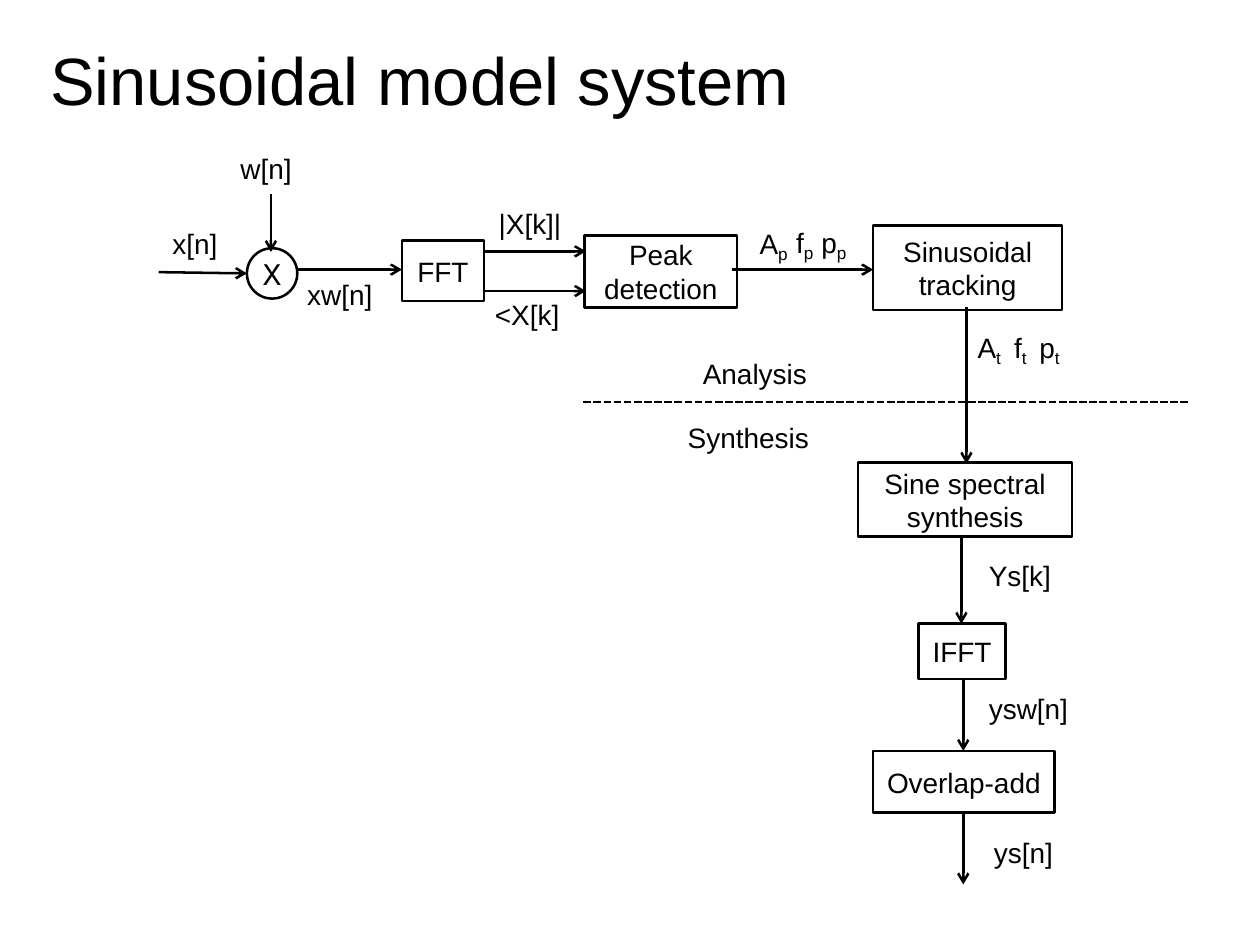
from collections import namedtuple

from lxml import etree
from pptx import Presentation
from pptx.dml.color import RGBColor
from pptx.enum.dml import MSO_LINE
from pptx.enum.shapes import MSO_CONNECTOR, MSO_SHAPE
from pptx.enum.text import MSO_ANCHOR, MSO_AUTO_SIZE, PP_ALIGN
from pptx.oxml.ns import qn
from pptx.util import Inches, Pt

BLACK = RGBColor(0, 0, 0)
RECTANGLE, OVAL = MSO_SHAPE.RECTANGLE, MSO_SHAPE.OVAL
STRAIGHT, DASHED = MSO_CONNECTOR.STRAIGHT, MSO_LINE.SQUARE_DOT
MIDDLE, FIT_SHAPE = MSO_ANCHOR.MIDDLE, MSO_AUTO_SIZE.SHAPE_TO_FIT_TEXT
LEFT, CENTER = PP_ALIGN.LEFT, PP_ALIGN.CENTER

COLUMNS, ROWS = 100, 75
CELL = Inches(0.1)
LINE_WIDTH = Pt(1.45)
TITLE_SIZE, TEXT_SIZE, SIGN_SIZE, SUBSCRIPT_SIZE = 38.2, 16, 18, 16.8
LABEL_ROWS = 3.5

Region = namedtuple("Region", "left top width height")


def grid(region, column, row):
    return round((region.left + column) * CELL), round((region.top + row) * CELL)


def set_font(font, size, name="Arial"):
    font.name = name
    font.size = Pt(size)
    font.color.rgb = BLACK


def set_margins(frame, margin):
    frame.margin_left = frame.margin_right = margin
    frame.margin_top = frame.margin_bottom = margin


def add_block(slide, region, text, column, row, width, height, kind=RECTANGLE):
    block = slide.shapes.add_shape(
        kind, *grid(region, column, row), round(width * CELL), round(height * CELL))
    block.shadow.inherit = False
    block.fill.background()
    block.line.color.rgb = BLACK
    block.line.width = LINE_WIDTH
    frame = block.text_frame
    frame.vertical_anchor = MIDDLE
    frame.word_wrap = True
    frame.text = text
    for para in frame.paragraphs:
        para.alignment = CENTER
        set_font(para.font, TEXT_SIZE)
    return block


def add_label(slide, region, text, column, row, width, subscript=""):
    box = slide.shapes.add_textbox(
        *grid(region, column, row), round(width * CELL), round(LABEL_ROWS * CELL))
    frame = box.text_frame
    frame.word_wrap = False
    frame.auto_size = FIT_SHAPE
    para = frame.paragraphs[0]
    para.add_run().text = text
    set_font(para.font, TEXT_SIZE)
    if subscript:
        span = para.add_run()
        span.text = subscript
        span.font.size = Pt(SUBSCRIPT_SIZE)
        span.font._element.set("baseline", "-20000")


def add_line(slide, region, start, end):
    line = slide.shapes.add_connector(
        STRAIGHT, *grid(region, *start), *grid(region, *end))
    line.line.color.rgb = BLACK
    line.line.width = LINE_WIDTH
    etree.SubElement(line._element.spPr, qn("a:effectLst"))
    return line


def add_arrow(slide, region, start, end):
    arrow = add_line(slide, region, start, end)
    head = etree.SubElement(arrow.line._get_or_add_ln(), qn("a:tailEnd"))
    head.set("type", "arrow")


def add_flow(slide, region, blocks, arrows, labels):
    for block in blocks:
        add_block(slide, region, *block)
    for start, end in arrows:
        add_arrow(slide, region, start, end)
    for label in labels:
        add_label(slide, region, *label)


def add_title(slide, region):
    title = slide.shapes.title
    title.left, title.top = grid(region, 0, 0)
    title.width, title.height = round(region.width * CELL), round(region.height * CELL)
    frame = title.text_frame
    frame.text = "Sinusoidal model system"
    frame.vertical_anchor = MIDDLE
    set_margins(frame, 0)
    para = frame.paragraphs[0]
    para.alignment = LEFT
    set_font(para.font, TITLE_SIZE)


def add_analysis(slide, region):
    sign = add_block(slide, region, "X", 7.6, 8.7, 4, 4, OVAL)
    frame = sign.text_frame
    frame.word_wrap = False
    set_margins(frame, 0)
    set_font(frame.paragraphs[0].font, SIGN_SIZE, "Courier New")

    blocks = [
        ("FFT", 19.9, 8.1, 6.5, 4.8),
        ("Peak detection", 34.4, 7.7, 12.1, 5.7),
        ("Sinusoidal\ntracking", 57.3, 6.9, 15, 6.7),
    ]
    arrows = [
        ((0.6, 10.6), (7.6, 10.7)),
        ((9.5, 4.4), (9.5, 9)),
        ((11.6, 10.4), (19.9, 10.4)),
        ((26.5, 8.95), (34.5, 8.95)),
        ((26.5, 12.1), (34.5, 12.1)),
        ((46.1, 10.4), (57.3, 10.4)),
        ((64.7, 13.4), (64.7, 25.8)),
    ]
    labels = [
        ("x[n]", 0.7, 6.5, 5.8),
        ("w[n]", 6.1, 0.5, 6.3),
        ("xw[n]", 11.4, 10.5, 7.4),
        ("|X[k]|", 26.6, 4.9, 7.2),
        ("<X[k]", 26.3, 12.1, 7.3),
        ("A", 47.3, 6.4, 4.5, "p"),
        ("f", 50.2, 6.3, 3.6, "p"),
        ("p", 52.2, 6.3, 4.3, "p"),
        ("A", 64.6, 14.6, 4.1, "t"),
        ("f", 67.5, 14.6, 3.3, "t"),
        ("p", 69.5, 14.6, 3.9, "t"),
    ]
    add_flow(slide, region, blocks, arrows, labels)


def add_divider(slide, region):
    middle = region.height / 2
    line = add_line(slide, region, (0, middle), (region.width, middle))
    line.line.dash_style = DASHED
    add_label(slide, region, "Analysis", 8.5, 0.9, 10.5)
    add_label(slide, region, "Synthesis", 7.3, 6, 11.9)


def add_synthesis(slide, region):
    blocks = [
        ("Sine spectral\nsynthesis", 22.1, 4.7, 17, 5.9),
        ("IFFT", 26.9, 17.5, 6.9, 4.4),
        ("Overlap-add", 23.3, 27.6, 14.4, 4.9),
    ]
    arrows = [
        ((30.3, 10.5), (30.3, 17.5)),
        ((30.45, 21.9), (30.45, 27.6)),
        ((30.45, 32.5), (30.45, 38.2)),
    ]
    labels = [
        ("Ys[k]", 31.5, 11.8, 7.1),
        ("ysw[n]", 31.5, 22.4, 8.5),
        ("ys[n]", 31.9, 33.8, 6.9),
    ]
    add_flow(slide, region, blocks, arrows, labels)


def main():
    deck = Presentation()
    deck.slide_width, deck.slide_height = COLUMNS * CELL, ROWS * CELL
    slide = deck.slides.add_slide(deck.slide_layouts[5])
    add_title(slide, Region(4, 0, 90, 12.5))
    add_analysis(slide, Region(12, 11, 73, 26))
    add_divider(slide, Region(46.3, 26.9, 48, 10))
    add_synthesis(slide, Region(46, 32, 48, 39))
    deck.save("out.pptx")


if __name__ == "__main__":
    main()
